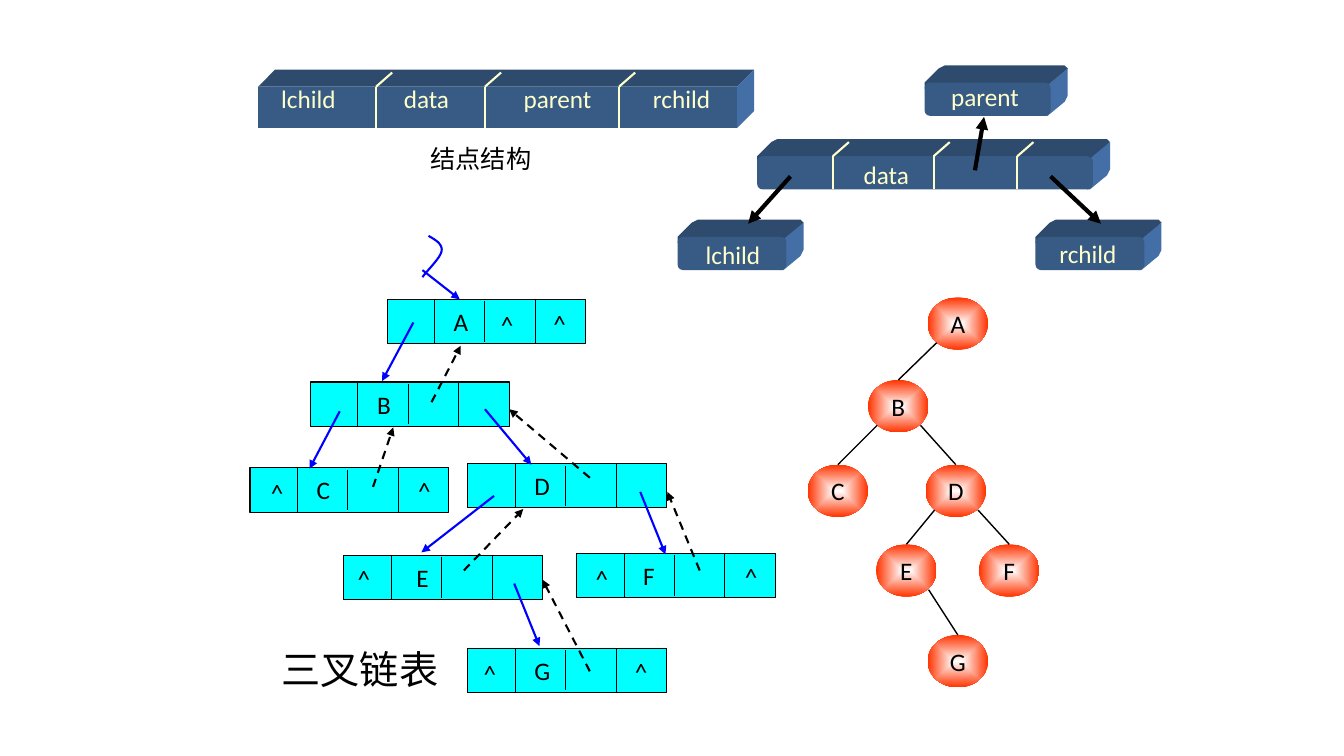
import lxml.etree
import pptx
import pptx.dml.color
import pptx.enum.dml
import pptx.enum.shapes
import pptx.enum.text
import pptx.oxml.ns
import pptx.util

Inches = pptx.util.Inches
SHAPES = pptx.enum.shapes.MSO_SHAPE
COLORS = {
    "black": "000000", "cell": "00FFFF", "pointer": "0000FF",
    "node_center": "FFFFFF", "node_edge": "FF3300", "label": "FFFFCC",
    "bar_front": "375B85", "bar_top": "2E4B6E", "bar_side": "446FA6",
}
BAR_DEPTH = 0.17


def rgb(name):
    """Return a named colour."""
    return pptx.dml.color.RGBColor.from_string(COLORS[name])


def add_xml(parent, tag, **attributes):
    """Append a drawing element to a parent and return it."""
    element = lxml.etree.SubElement(parent, pptx.oxml.ns.qn(tag))
    for name, value in attributes.items():
        element.set(name, value)
    return element


def write_text(shape, text, size=18, color="black", align="CENTER", inset=0, wrap=False):
    """Write one formatted line, centred vertically in a shape."""
    frame = shape.text_frame
    frame.word_wrap = wrap
    frame.vertical_anchor = pptx.enum.text.MSO_ANCHOR.MIDDLE
    frame.margin_left = Inches(inset)
    frame.margin_right = frame.margin_top = frame.margin_bottom = 0
    paragraph = frame.paragraphs[0]
    paragraph.alignment = pptx.enum.text.PP_ALIGN[align]
    run = paragraph.add_run()
    run.text = text
    run.font.name = "Calibri"
    run.font.size = pptx.util.Pt(size)
    run.font.color.rgb = rgb(color)


def add_label(slide, center_x, center_y, text, width=1.0, height=0.4, **text_format):
    """Add a text box around a centre point."""
    box = slide.shapes.add_textbox(Inches(center_x - width / 2), Inches(center_y - height / 2),
                                   Inches(width), Inches(height))
    write_text(box, text, **text_format)


def add_line(slide, start, end, color="black", width=0.75, arrow=False, dashed=False):
    """Add a straight line, optionally dashed or with an arrowhead."""
    line = slide.shapes.add_connector(pptx.enum.shapes.MSO_CONNECTOR.STRAIGHT,
                                      *(Inches(value) for value in (*start, *end)))
    line.line.color.rgb = rgb(color)
    line.line.width = pptx.util.Pt(width)
    if dashed:
        line.line.dash_style = pptx.enum.dml.MSO_LINE.DASH
    if arrow:
        add_xml(line.line._get_or_add_ln(), "a:tailEnd", type="triangle")
    add_xml(line._element.spPr, "a:effectLst")


def add_shape(slide, preset, left, top, width, height, fill=None):
    """Add a preset shape without outline or shadow."""
    shape = slide.shapes.add_shape(preset, *(Inches(value) for value in (left, top, width, height)))
    shape.shadow.inherit = False
    shape.line.fill.background()
    if fill:
        shape.fill.solid()
        shape.fill.fore_color.rgb = rgb(fill)
    return shape


def add_outline(slide, points, closed=True):
    """Add an outline through points given in inches."""
    corners = [(Inches(x), Inches(y)) for x, y in points]
    builder = slide.shapes.build_freeform(*corners[0])
    builder.add_line_segments(corners[1:], close=closed)
    shape = builder.convert_to_shape()
    shape.shadow.inherit = False
    return shape


def add_bar(slide, left, top, width, height, dividers=(), rounded=False):
    """Draw a solid bar with its front face at the given box."""
    right, bottom = left + width, top + height
    overlap = 0.06 if rounded else 0
    upper, back = top - BAR_DEPTH, right + BAR_DEPTH
    cut = overlap / 2
    faces = {
        "bar_top": [(left, top + overlap), (left, top), (left + BAR_DEPTH - cut, upper + cut),
                    (left + BAR_DEPTH + cut, upper), (back - cut, upper), (back, upper + cut),
                    (right, top + cut), (right, top + overlap)],
        "bar_side": [(right - overlap, bottom), (right - overlap, top + overlap), (right, top),
                     (back, upper + cut), (back, bottom - BAR_DEPTH - cut),
                     (back - cut, bottom - BAR_DEPTH + cut), (right - cut, bottom)],
    }
    for color, points in faces.items():
        face = add_outline(slide, points)
        face.fill.solid()
        face.fill.fore_color.rgb = rgb(color)
        face.line.fill.background()
    preset = SHAPES.ROUNDED_RECTANGLE if rounded else SHAPES.RECTANGLE
    add_shape(slide, preset, left, top, width, height, "bar_front")
    for offset in dividers:
        corner = (left + offset, top)
        add_line(slide, (left + offset, bottom), corner, "label", 1.5)
        add_line(slide, corner, (left + offset + 0.16, top - 0.14), "label", 1.5)


def add_node_structure(slide, left, top):
    """Draw the four-field node layout and its caption."""
    add_bar(slide, left, top + BAR_DEPTH, 4.75, 0.41, (1.17, 2.25, 3.58))
    for text, offset in (("lchild", 0.5), ("data", 1.67), ("parent", 2.97), ("rchild", 4.2)):
        add_label(slide, left + offset, top + 0.29, text, color="label")
    add_label(slide, left + 2.21, top + 0.88, "结点结构", width=1.33)


def add_record_links(slide, left, top):
    """Draw a record pointing to its parent and two children."""
    for x, y, width, dividers in ((2.45, 0.17, 1.25, ()), (0.79, 0.9, 3.33, (0.75, 1.75, 2.58)),
                                  (3.55, 1.7, 1.08, ()), (0, 1.7, 1.08, ())):
        add_bar(slide, left + x, top + y, width, 0.33, dividers, rounded=True)
    for text, x, y in (("parent", 3.05, 0.31), ("data", 2.07, 1.08),
                       ("lchild", 0.55, 1.87), ("rchild", 4.07, 1.86)):
        add_label(slide, left + x, top + y, text, color="label")
    for x1, y1, x2, y2 in ((1.12, 1.1, 0.7, 1.57), (3.7, 1.1, 4.2, 1.57), (2.95, 1.04, 3.04, 0.51)):
        add_line(slide, (left + x1, top + y1), (left + x2, top + y2), width=3, arrow=True)


def add_record(slide, left, top, name, inset, nulls):
    """Draw one list record with its fields and null marks."""
    width, height = 1.97, 0.44
    record = add_shape(slide, SHAPES.RECTANGLE, left, top, width, height, "cell")
    record.line.color.rgb = rgb("black")
    record.line.width = pptx.util.Pt(0.75)
    write_text(record, name, align="LEFT", inset=inset, wrap=True)
    for offset, gap in ((0.47, 0), (0.97, 0.02), (1.47, 0)):
        add_line(slide, (left + offset, top + gap), (left + offset, top + height - gap))
    for x, y in nulls:
        add_label(slide, left + x, top + y, "^", width=0.33)


def bezier_points(start, first, second, end, steps=12):
    """Sample a cubic curve at equal parameter steps."""
    return [tuple((1 - t) ** 3 * a + 3 * (1 - t) ** 2 * t * b + 3 * (1 - t) * t ** 2 * c + t ** 3 * d
                  for a, b, c, d in zip(start, first, second, end))
            for t in (step / steps for step in range(steps + 1))]


def add_linked_list(slide, left, top):
    """Draw the linked records with child and parent pointers."""
    records = {
        "A": (1.36, 0.63, 0.66, [(1.19, 0.25), (1.71, 0.24)]),
        "B": (0.6, 1.45, 0.66, []),
        "C": (0, 2.3, 0.66, [(0.27, 0.25), (1.73, 0.23)]),
        "D": (2.16, 2.26, 0.66, []),
        "E": (0.93, 3.17, 0.72, [(0.2, 0.23)]),
        "F": (3.24, 3.15, 0.66, [(0.25, 0.25), (1.73, 0.23)]),
        "G": (2.16, 4.09, 0.66, [(0.22, 0.25), (1.72, 0.23)]),
    }
    for name, (x, y, inset, nulls) in records.items():
        add_record(slide, left + x, top + y, name, inset, nulls)

    def point(name, x, y):
        """Return a point relative to a record."""
        return left + records[name][0] + x, top + records[name][1] + y

    child_links = (
        ("A", 0.26, 0.23, "B", 0.71, -0.01), ("B", 0.29, 0.29, "C", 0.59, 0.01),
        ("D", 0.26, 0.32, "E", 0.77, -0.03), ("B", 1.73, 0.27, "D", 0.63, 0.01),
        ("D", 1.71, 0.28, "F", 0.88, 0.01), ("E", 1.69, 0.28, "G", 0.71, -0.02))
    parent_links = (
        ("B", 1.2, 0.2, "A", 0.73, 0.46), ("C", 1.22, 0.19, "B", 0.82, 0.45),
        ("D", 1.21, 0.14, "B", 1.97, 0.27), ("E", 1.19, 0.15, "D", 0.55, 0.45),
        ("G", 1.21, 0.23, "E", 1.97, 0.24), ("F", 1.22, 0.17, "D", 1.98, 0.28))
    for links, color, dashed in ((child_links, "pointer", False), (parent_links, "black", True)):
        for link in links:
            add_line(slide, point(*link[:3]), point(*link[3:]), color, 1.5, True, dashed)
    curve = bezier_points((1.77, 0), (1.84, 0.04), (1.91, 0.08), (1.9, 0.15))
    curve += bezier_points((1.9, 0.15), (1.89, 0.22), (1.74, 0.36), (1.71, 0.41))[1:]
    root = add_outline(slide, [(left + x, top + y) for x, y in curve], closed=False)
    root.fill.background()
    root.line.color.rgb = rgb("pointer")
    root.line.width = pptx.util.Pt(1.5)
    add_line(slide, (left + 1.71, top + 0.34), point("A", 0.72, 0), "pointer", 1.5, True)
    add_label(slide, left + 1.09, top + 4.3, "三叉链表", width=1.86, height=0.57, size=28)


def add_tree_node(slide, left, top, name):
    """Draw a tree node shaded from its centre outwards."""
    node = add_shape(slide, SHAPES.OVAL, left, top, 0.6, 0.52)
    node.fill.gradient()
    for stop, color in zip(node.fill.gradient_stops, ("node_center", "node_edge")):
        stop.color.rgb = rgb(color)
    gradient = node._element.spPr.find(pptx.oxml.ns.qn("a:gradFill"))
    linear = gradient.find(pptx.oxml.ns.qn("a:lin"))
    shade = add_xml(gradient, "a:path", path="shape")
    add_xml(shade, "a:fillToRect", l="50000", t="50000", r="50000", b="50000")
    gradient.replace(linear, shade)
    write_text(node, name)


def add_tree(slide, left, top):
    """Draw the binary tree and its edges."""
    nodes = {"A": (1.19, 0), "B": (0.6, 0.82), "C": (0, 1.66), "D": (1.17, 1.66),
             "E": (0.68, 2.45), "F": (1.7, 2.45), "G": (1.19, 3.35)}
    for name, (x, y) in nodes.items():
        add_tree_node(slide, left + x, top + y, name)
    for parent, child in ("AB", "BC", "BD", "DE", "DF", "EG"):
        (x1, y1), (x2, y2) = nodes[parent], nodes[child]
        side = 0.09 if x2 < x1 else 0.52
        add_line(slide, (left + x1 + side, top + y1 + 0.45), (left + x2 + 0.3, top + y2), width=1)


def main():
    """Build and save the slide."""
    presentation = pptx.Presentation()
    presentation.slide_width, presentation.slide_height = Inches(13.33), Inches(7.5)
    slide = presentation.slides.add_slide(presentation.slide_layouts[6])
    add_linked_list(slide, 2.48, 2.34)
    add_tree(slide, 8.01, 2.95)
    add_record_links(slide, 6.72, 0.65)
    add_node_structure(slide, 2.56, 0.69)
    presentation.save("out.pptx")


if __name__ == "__main__":
    main()
